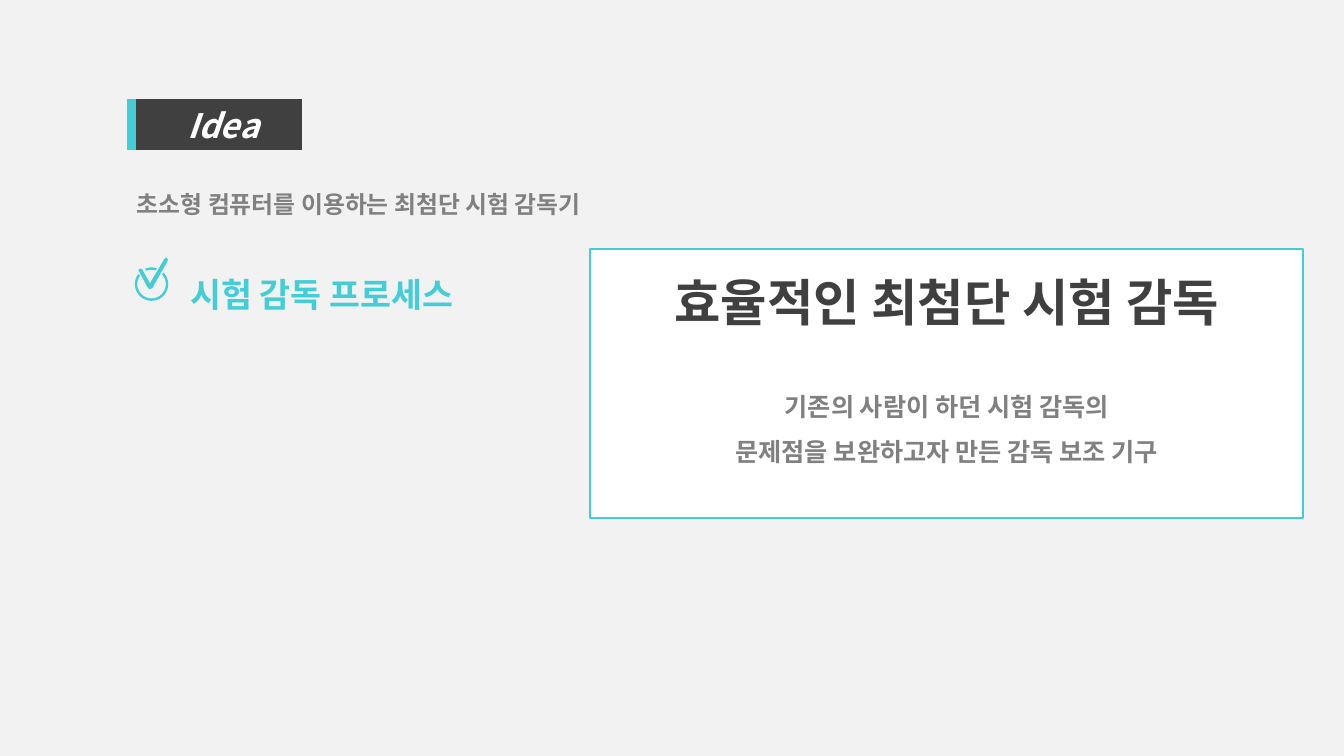
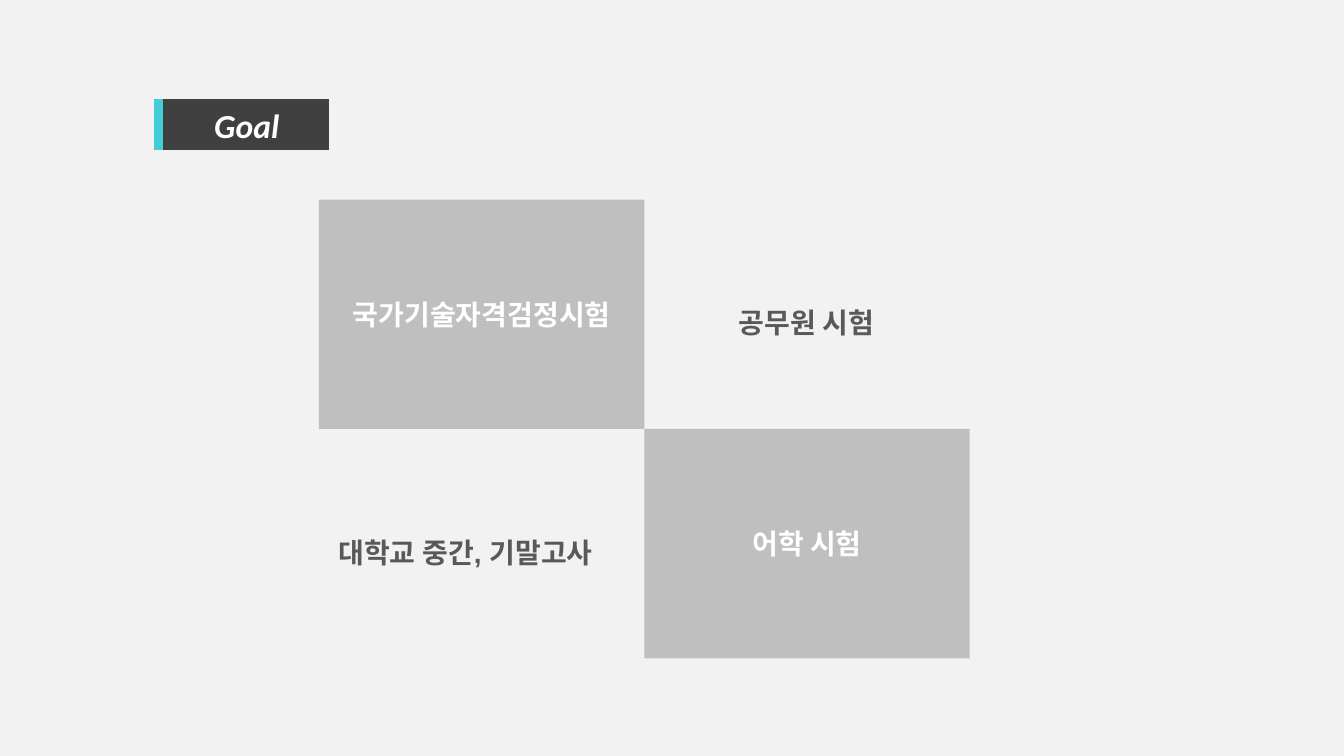
from math import cos, radians, sin

from pptx import Presentation
from pptx.dml.color import RGBColor as RGB
from pptx.enum.shapes import MSO_SHAPE as Shape
from pptx.enum.text import MSO_ANCHOR as Anchor, PP_ALIGN as Align
from pptx.oxml import parse_xml
from pptx.oxml.ns import nsdecls
from pptx.util import Cm, Pt

COLORS = {
    "background": "F2F2F2",
    "accent": "43CDD7",
    "dark": "404040",
    "text": "595959",
    "muted": "808080",
    "tile": "BFBFBF",
    "white": "FFFFFF",
}
COLORS = {name: RGB.from_string(value) for name, value in COLORS.items()}
KOREAN = "Noto Sans CJK KR"


def write(paragraph, text, size, color, font=KOREAN, align=Align.LEFT, spacing=1.0):
    """Add one bold run to a paragraph and return the run."""
    paragraph.alignment = align
    paragraph.line_spacing = spacing
    run = paragraph.add_run()
    run.text = text
    run.font.size = Pt(size)
    run.font.bold = True
    run.font.name = font
    run.font.color.rgb = COLORS[color]
    east_asian = parse_xml(f'<a:ea {nsdecls("a")} typeface="{KOREAN}"/>')
    run.font._element.find("{*}latin").addnext(east_asian)
    return run


def add_box(slide, left, top, width, height, fill, preset=Shape.RECTANGLE):
    """Add a flat shape without an outline; lengths are in centimetres."""
    box = slide.shapes.add_shape(preset, Cm(left), Cm(top), Cm(width), Cm(height))
    box.shadow.inherit = False
    box.line.fill.background()
    box.fill.solid()
    box.fill.fore_color.rgb = COLORS[fill]
    box.text_frame.word_wrap = True
    box.text_frame.vertical_anchor = Anchor.MIDDLE
    return box


deck = Presentation()
deck.slide_width, deck.slide_height = Cm(33.87), Cm(19.05)

# Background and title tag of both slides
slides = []
for title, left, font in [("Idea", 3.2, KOREAN), ("Goal", 3.88, "Calibri")]:
    slide = deck.slides.add_slide(deck.slide_layouts[6])
    slide.background.fill.solid()
    slide.background.fill.fore_color.rgb = COLORS["background"]
    tag = add_box(slide, left, 2.49, 4.41, 1.3, "dark", Shape.ROUNDED_RECTANGLE)
    tag.adjustments[0] = 0
    tag.fill.gradient()
    tag.fill.gradient_angle = 180
    for stop, color in zip(tag.fill.gradient_stops, ("dark", "accent")):
        stop.position = 0.95
        stop.color.rgb = COLORS[color]
    heading = tag.text_frame.paragraphs[0]
    heading.level = 1
    write(heading, title, 24, "white", font).font.italic = True
    slides.append(slide)
idea, goal = slides

# Plain labels of both slides
LABELS = [
    (idea, "초소형 컴퓨터를 이용하는 최첨단 시험 감독기", 3.2, 4.29, 20.22, 1.35, 17, "muted", KOREAN, Align.LEFT),
    (idea, "시험 감독 프로세스", 4.55, 6.27, 9.65, 1.78, 24, "accent", KOREAN, Align.LEFT),
    (goal, "대학교 중간, 기말고사", 8.28, 12.95, 7.7, 1.52, 20, "text", "Arial", Align.LEFT),
    (goal, "공무원 시험", 16.48, 7.16, 7.7, 1.5, 20, "text", KOREAN, Align.CENTER),
]
for slide, text, left, top, width, height, size, color, font, align in LABELS:
    label = slide.shapes.add_textbox(Cm(left), Cm(top), Cm(width), Cm(height))
    label.text_frame.word_wrap = True
    write(label.text_frame.paragraphs[0], text, size, color, font, align, 1.5)

# Idea: summary card
card = add_box(idea, 14.87, 6.27, 17.98, 6.78, "white")
card.line.color.rgb = COLORS["accent"]
card.line.width = Pt(1.5)
summary = card.text_frame
summary.vertical_anchor = Anchor.TOP
summary.margin_top = Cm(0.56)
summary.margin_left = summary.margin_right = Cm(0.5)
write(summary.paragraphs[0], "효율적인 최첨단 시험 감독", 36, "dark", align=Align.CENTER)
for text, gap in [("기존의 사람이 하던 시험 감독의", 32), ("문제점을 보완하고자 만든 감독 보조 기구", 0)]:
    line = summary.add_paragraph()
    line.space_before = Pt(gap)
    write(line, text, 18, "muted", align=Align.CENTER, spacing=1.5)

# Idea: check mark in a broken ring
CENTER_X, CENTER_Y, OUTER, INNER = 3.82, 7.16, 0.42, 0.36
outlines = [[
    (4.17, 6.5), (4.22, 6.5), (4.23, 6.57), (3.84, 7.26), (3.78, 7.29), (3.73, 7.26),
    (3.49, 6.81), (3.52, 6.77), (3.58, 6.78), (3.78, 7.14), (4.14, 6.53),
]]
for first, last, step in [(-43, 217, 5), (-112, -72, 5)]:
    angles = [radians(degree) for degree in range(first, last + 1, step)]
    rim = [(OUTER, angle) for angle in angles] + [(INNER, angle) for angle in reversed(angles)]
    outlines.append([(CENTER_X + r * cos(a), CENTER_Y + r * sin(a)) for r, a in rim])

builder = None
for outline in outlines:
    start, *rest = [(Cm(x), Cm(y)) for x, y in outline]
    if builder is None:
        builder = idea.shapes.build_freeform(*start)
    else:
        builder.move_to(*start)
    builder.add_line_segments(rest, close=True)
check = builder.convert_to_shape()
check.shadow.inherit = False
check.fill.solid()
check.fill.fore_color.rgb = COLORS["accent"]
check.line.fill.background()

# Goal: two tiles meeting at a corner
TILE_W, TILE_H = 8.2, 5.78
for step, exam in enumerate(["국가기술자격검정시험", "어학 시험"]):
    tile = add_box(goal, 8.04 + step * TILE_W, 5.03 + step * TILE_H, TILE_W, TILE_H, "tile")
    write(tile.text_frame.paragraphs[0], exam, 20, "white", align=Align.CENTER)

deck.save("out.pptx")
